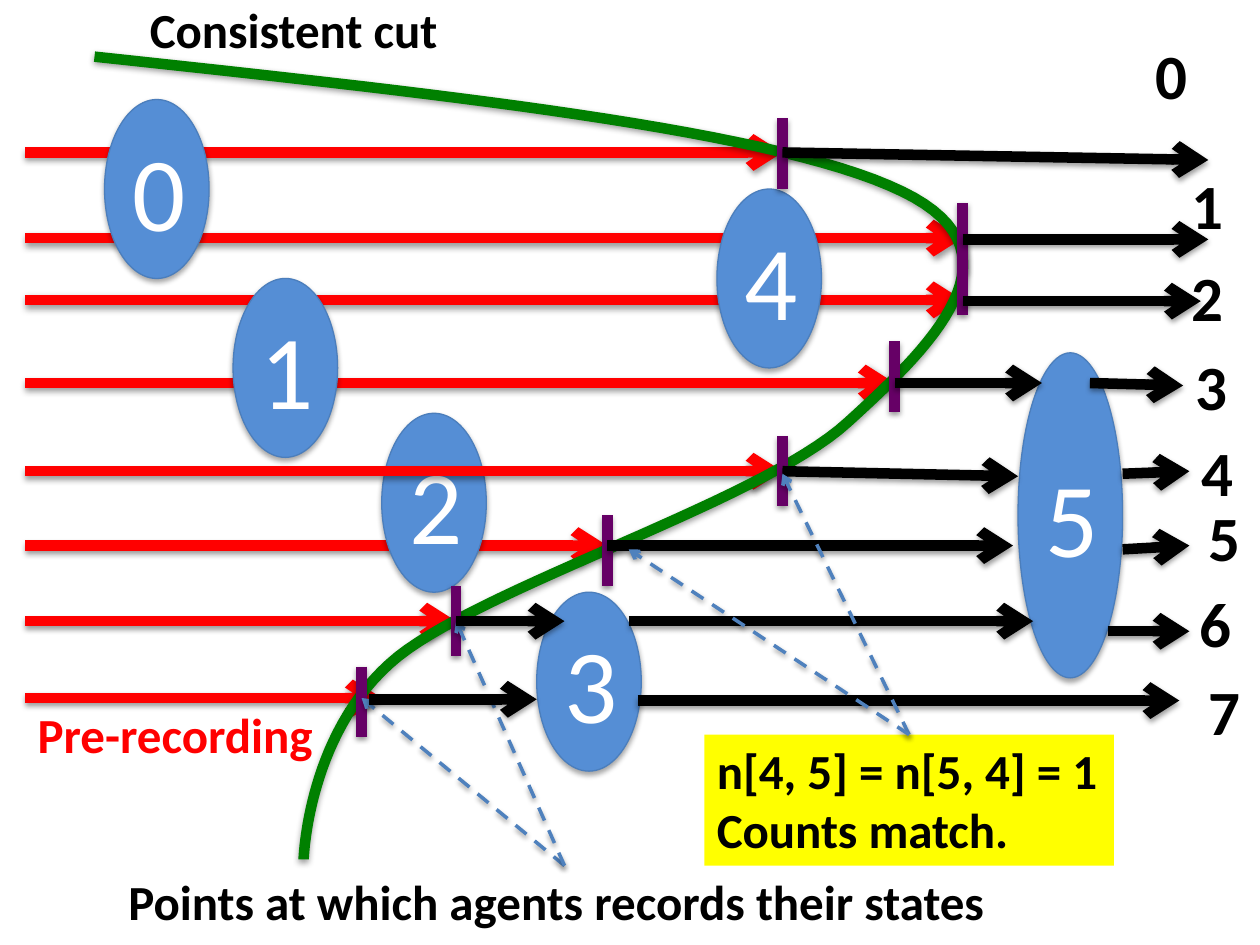
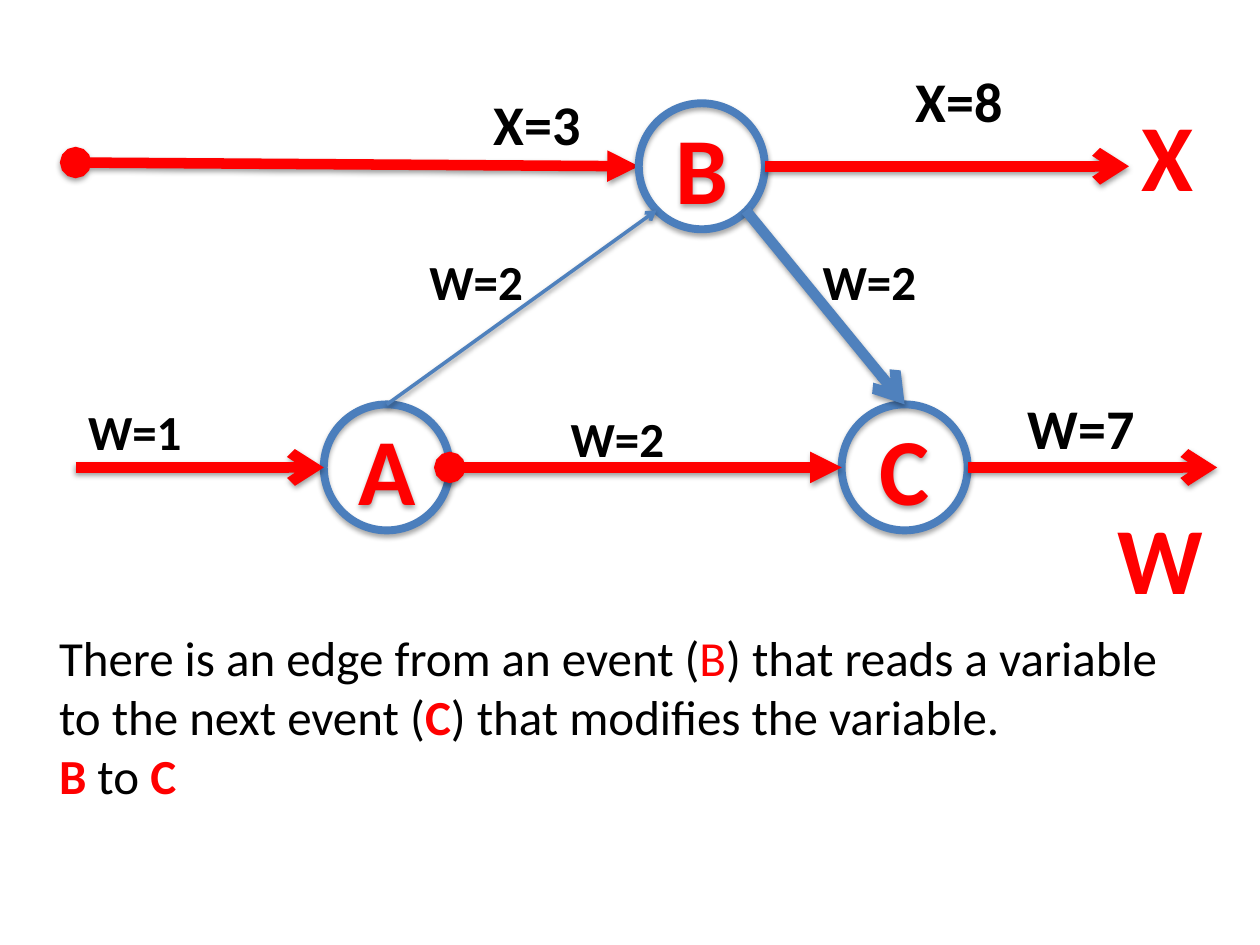
from dataclasses import dataclass

from lxml import etree
from pptx import Presentation
from pptx import util as u
from pptx.dml import color
from pptx.enum import dml, shapes, text
from pptx.oxml import ns

FONT = "Calibri"
BLACK, RED, WHITE, YELLOW = "000000", "FF0000", "FFFFFF", "FFFF00"
GREEN, PURPLE = "008000", "660066"
OVAL_FILL, OVAL_EDGE, POINTER = "558ED5", "4B7EBC", "4F81BD"
BOLD_BLACK = {"hue": BLACK, "bold": True}
BOLD_RED = {"hue": RED, "bold": True}


def rgb(hex_string):
    return color.RGBColor.from_string(hex_string)


def apply(target, values):
    for name, value in values.items():
        setattr(target, name, value)


def sub(parent, tag, **attributes):
    return etree.SubElement(parent, ns.qn(tag), attributes)


def cast_shadow(part, distance=1.6, opacity=38):
    part_effects = sub(part._element.spPr, "a:effectLst")
    outer = sub(part_effects, "a:outerShdw", blurRad=str(u.Pt(3.1)),
                dist=str(u.Pt(distance)), dir="5400000", rotWithShape="0")
    black = sub(outer, "a:srgbClr", val=BLACK)
    sub(black, "a:alpha", val=str(opacity * 1000))


def set_line(part, hue, width):
    part.line.color.rgb = rgb(hue)
    part.line.width = u.Pt(width)


def add_run(paragraph, words, size, hue=BLACK, bold=False):
    run = paragraph.add_run()
    run.text = words
    apply(run.font, {"name": FONT, "size": u.Pt(size), "bold": bold})
    run.font.color.rgb = rgb(hue)


@dataclass
class Region:
    slide: object
    box: tuple

    def at(self, x, y):
        return u.Inches(self.box[0] + x), u.Inches(self.box[1] + y)

    def label(self, words, x, y, width, size=28, hue=BLACK):
        height = size * 1.2 / 72 + 0.1
        holder = self.slide.shapes.add_textbox(
            *self.at(x, y), u.Inches(width), u.Inches(height))
        apply(holder.text_frame, {
            "word_wrap": False, "auto_size": text.MSO_AUTO_SIZE.SHAPE_TO_FIT_TEXT})
        add_run(holder.text_frame.paragraphs[0], words, size, hue, True)
        return holder

    def stroke(self, start, end, hue, width=6, head=None, tail=None, dash=None):
        link = self.slide.shapes.add_connector(
            shapes.MSO_CONNECTOR.STRAIGHT, *self.at(*start), *self.at(*end))
        set_line(link, hue, width)
        if dash:
            link.line.dash_style = dash
        outline = link.line._get_or_add_ln()
        for tag, kind in (("a:headEnd", head), ("a:tailEnd", tail)):
            if kind:
                sub(outline, tag, type=kind)
        cast_shadow(link)
        return link

    def arrow(self, start, end, hue, **options):
        return self.stroke(start, end, hue, **{"tail": "arrow", **options})

    def oval(self, words, x, y, width, height, size, hue, bold=False, fill=None, edge=0.75):
        event = self.slide.shapes.add_shape(
            shapes.MSO_SHAPE.OVAL, *self.at(x, y), u.Inches(width), u.Inches(height))
        if fill:
            event.fill.solid()
            event.fill.fore_color.rgb = rgb(fill)
        else:
            event.fill.background()
        set_line(event, OVAL_EDGE, edge)
        cast_shadow(event, 1.8, 35)
        event.text_frame.vertical_anchor = text.MSO_ANCHOR.MIDDLE
        paragraph = event.text_frame.paragraphs[0]
        paragraph.alignment = text.PP_ALIGN.CENTER
        add_run(paragraph, words, size, hue, bold)


def bezier(p0, p1, p2, p3, steps=30):
    for step in range(1, steps + 1):
        t = step / steps
        weights = ((1 - t) ** 3, 3 * t * (1 - t) ** 2, 3 * t * t * (1 - t), t ** 3)
        yield tuple(sum(w * p[axis] for w, p in zip(weights, (p0, p1, p2, p3)))
                    for axis in (0, 1))


def draw_cut(region):
    start = last = (0.75, 0.45)
    bends = (((3.45, 0.74), (6.16, 1.03), (7.16, 1.52)),
             ((8.16, 2), (7.4, 2.74), (6.73, 3.35)),
             ((6.06, 3.97), (3.88, 4.64), (3.16, 5.21)),
             ((2.44, 5.79), (2.41, 6.82), (2.41, 6.82)))
    points = []
    for bend in bends:
        points += [region.at(*point) for point in bezier(last, *bend)]
        last = bend[-1]
    outline = region.slide.shapes.build_freeform(*region.at(*start))
    outline.add_line_segments(points, close=False)
    cut = outline.convert_to_shape()
    cut.fill.background()
    set_line(cut, GREEN, 6)
    cast_shadow(cut)

    ticks = ((6.21, 0.94), (7.64, 1.61), (7.64, 1.94), (7.1, 2.71),
             (6.21, 3.46), (4.82, 4.09), (3.62, 4.65), (2.87, 5.29))
    for x, top in ticks:
        region.stroke((x, top), (x, top + 0.56), PURPLE)


def draw_recording(region):
    pre_recording = ((1.21, 6.21), (1.89, 7.64), (2.38, 7.64), (3.04, 7.1),
                     (4.33, 4.82), (4.93, 3.62), (5.54, 3.03))
    for y, end in pre_recording:
        region.arrow((0.2, y), (end, y), RED)

    steps = ((0.83, 0.79), (1.85, 2.21), (3.03, 3.28), (4.26, 4.7), (5.69, 1.5))
    for number, (x, y) in enumerate(steps):
        region.oval(str(number), x, y, 0.83, 1.42, 60, WHITE, fill=OVAL_FILL)

    agents = ((9.07, 0.24), (9.36, 1.27), (9.36, 2), (9.39, 2.71),
              (9.44, 3.39), (9.49, 3.91), (9.42, 4.59), (9.49, 5.29))
    for number, (x, y) in enumerate(agents):
        region.label(str(number), x, y, 0.46, 36)

    region.label("Consistent cut", 1.09, -0.05, 2.52)
    region.arrow((0.2, 3.74), (6.21, 3.74), RED)
    region.oval("5", 8.08, 2.8, 0.83, 2.58, 60, WHITE, fill=OVAL_FILL)


def draw_post_recording(region):
    post_recording = (
        (6.21, 1.21, 9.59, 1.27), (7.64, 1.9, 9.59, 1.9), (7.64, 2.39, 9.53, 2.39),
        (7.1, 3.04, 8.27, 3.04), (6.21, 3.74, 8.08, 3.78), (8.65, 3.04, 9.39, 3.06),
        (8.91, 3.76, 9.44, 3.74), (4.82, 4.33, 8.04, 4.33), (8.91, 4.36, 9.44, 4.33),
        (3.62, 4.93, 4.48, 4.93), (4.99, 4.93, 8.2, 4.93), (8.79, 5.01, 9.44, 5.01),
        (2.93, 5.55, 4.26, 5.55), (5.06, 5.56, 9.36, 5.56))
    for x1, y1, x2, y2 in post_recording:
        region.arrow((x1, y1), (x2, y2), BLACK)
    region.label("Pre-recording", 0.2, 5.54, 2.42, hue=RED)


def point_from(region, source, start, targets):
    for target in targets:
        pointer = region.arrow(start, target, POINTER, width=2,
                               dash=dml.MSO_LINE.DASH)
        pointer.begin_connect(source, 0)


def draw_caption(region):
    caption = region.label("Points at which agents records their states", 0.92, 6.87, 7.12)
    point_from(region, caption, (4.48, 6.87), ((2.87, 5.54), (3.62, 4.93)))


def draw_count_note(region):
    note = region.slide.shapes.add_shape(
        shapes.MSO_SHAPE.RECTANGLE, *region.at(5.59, 5.83), u.Inches(3.25), u.Inches(1.04))
    note.shadow.inherit = False
    note.fill.solid()
    note.fill.fore_color.rgb = rgb(YELLOW)
    note.line.fill.background()
    frame = note.text_frame
    apply(frame, {"word_wrap": False, "vertical_anchor": text.MSO_ANCHOR.TOP,
                  "auto_size": text.MSO_AUTO_SIZE.SHAPE_TO_FIT_TEXT})
    paragraphs = (frame.paragraphs[0], frame.add_paragraph())
    for paragraph, words in zip(paragraphs, ("n[4, 5] = n[5, 4] = 1", "Counts match.")):
        paragraph.alignment = text.PP_ALIGN.LEFT
        add_run(paragraph, words, 28, **BOLD_BLACK)
    point_from(region, note, (7.22, 5.83), ((6.21, 3.76), (4.99, 4.36)))


def draw_event_graph(region):
    from_dot = {"head": "oval", "tail": "triangle"}
    region.arrow((0.6, 1.29), (5.07, 1.32), RED, **from_dot)
    for name, x, y in (("B", 5.07, 0.82), ("A", 2.57, 3.21), ("C", 6.68, 3.21)):
        region.oval(name, x, y, 1, 1, 54, edge=4.5, **BOLD_RED)
    region.arrow((6.07, 1.32), (8.96, 1.32), RED)
    region.arrow((3.57, 3.71), (6.68, 3.71), RED, **from_dot)
    region.arrow((0.6, 3.71), (2.57, 3.71), RED)
    region.arrow((7.68, 3.71), (9.66, 3.71), RED)
    region.arrow((3.07, 3.21), (5.21, 1.67), POINTER, width=2)
    region.arrow((5.92, 1.67), (7.18, 3.21), POINTER)

    region.label("X", 8.96, 0.72, 0.62, 54, RED)
    region.label("W", 8.77, 3.92, 0.89, 54, RED)
    values = (("X=3", 3.82, 0.66, 0.9, 32), ("X=8", 7.17, 0.48, 0.9, 32),
              ("W=7", 8.06, 3.07, 1.06, 32), ("W=1", 0.6, 3.14, 0.95, 28),
              ("W=2", 3.31, 1.95, 0.95, 28), ("W=2", 4.43, 3.19, 0.95, 28),
              ("W=2", 6.43, 1.95, 0.95, 28))
    for value in values:
        region.label(*value)


def write_explanation(region):
    holder = region.slide.shapes.add_textbox(*map(u.Inches, region.box))
    frame = holder.text_frame
    apply(frame, {"word_wrap": True, "auto_size": text.MSO_AUTO_SIZE.SHAPE_TO_FIT_TEXT})
    rule = (("There is an edge from an event (", {}), ("B", {"hue": RED}),
            (") that reads a variable to the next event (", {}), ("C", BOLD_RED),
            (") that modifies the variable.", {}))
    edge = (("B", BOLD_RED), (" to ", {}), ("C", BOLD_RED))
    for paragraph, runs in ((frame.paragraphs[0], rule), (frame.add_paragraph(), edge)):
        for words, style in runs:
            add_run(paragraph, words, 28, **style)


def main():
    deck = Presentation()
    apply(deck, {"slide_width": u.Inches(10), "slide_height": u.Inches(7.5)})
    blank = deck.slide_layouts[6]

    cut_diagram = Region(deck.slides.add_slide(blank), (0, 0, 10, 7.5))
    for draw in (draw_recording, draw_cut, draw_caption, draw_post_recording,
                 draw_count_note):
        draw(cut_diagram)

    edge_slide = deck.slides.add_slide(blank)
    draw_event_graph(Region(edge_slide, (0, 0, 10, 4.93)))
    write_explanation(Region(edge_slide, (0.37, 4.93, 8.98, 1.51)))
    deck.save("out.pptx")


if __name__ == "__main__":
    main()
